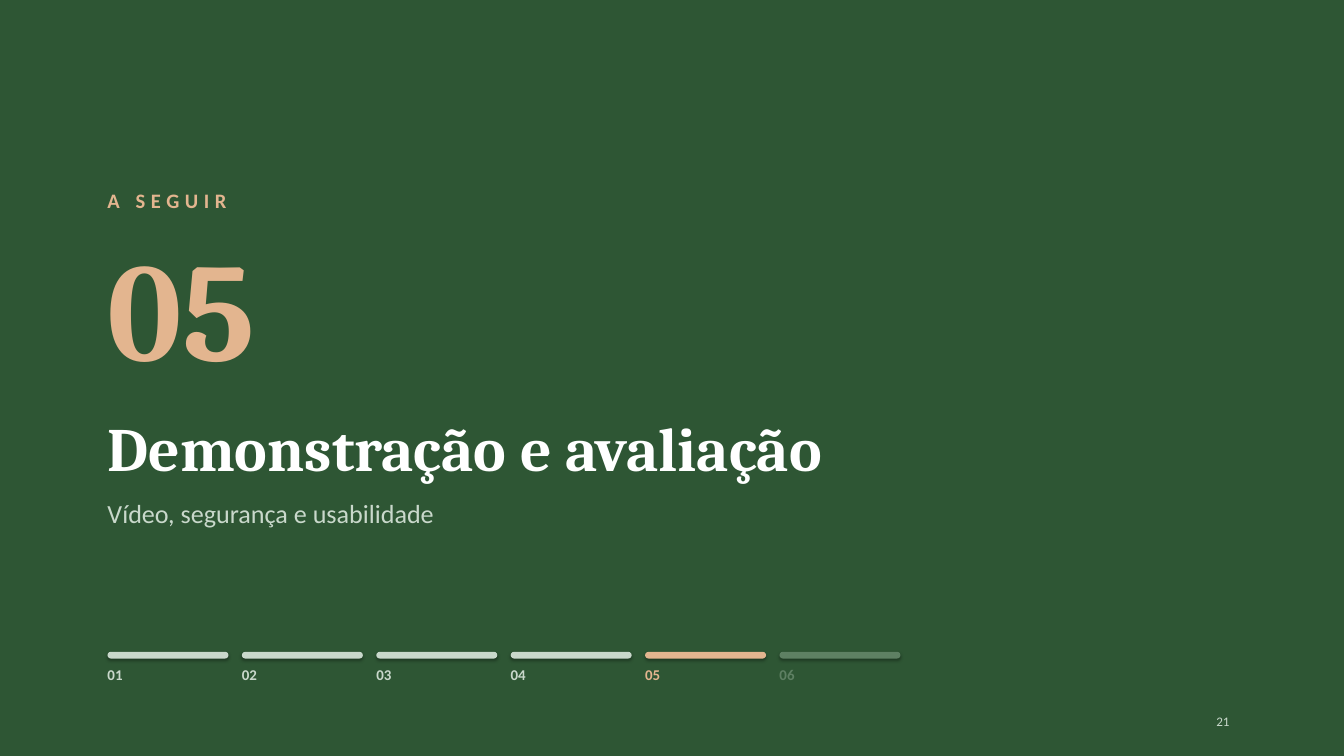
from pptx import Presentation
from pptx.dml.color import RGBColor
from pptx.enum.shapes import MSO_SHAPE
from pptx.enum.text import MSO_ANCHOR, MSO_AUTO_SIZE, PP_ALIGN
from pptx.util import Inches, Pt

ROUNDED = MSO_SHAPE.ROUNDED_RECTANGLE
TOP = MSO_ANCHOR.TOP
GROW = MSO_AUTO_SIZE.SHAPE_TO_FIT_TEXT
LEFT = PP_ALIGN.LEFT

# Content
KICKER = "A SEGUIR"
TITLE = "Demonstração e avaliação"
SUBTITLE = "Vídeo, segurança e usabilidade"
SECTION, SECTION_COUNT = 5, 6
PAGE = "21"

THEME = {
    "background": "2E5634",
    "accent": "E3B58F",
    "title": "FFFFFF",
    "soft": "C9D8CB",
    "dim": "5E8063",
    "heading_font": "Cambria",
    "body_font": "Calibri",
    "sizes": {"kicker": 22, "number": 150, "title": 66,
              "subtitle": 28, "step": 16, "page": 14},
}

# Layout, in inches
MARGIN = 1.6
STEP_WIDTH, STEP_PITCH = 1.8, 2.0
BAR_TOP, BAR_HEIGHT, LABEL_TOP = 9.7, 0.1, 9.9


def color(name):
    return RGBColor.from_string(THEME[name])


def write(sp, text, size, fill, font="body_font", bold=False):
    tf = sp.text_frame
    tf.margin_left = tf.margin_right = tf.margin_top = tf.margin_bottom = 0
    tf.word_wrap = True
    tf.auto_size = GROW
    tf.vertical_anchor = TOP
    p = tf.paragraphs[0]
    p.text = text
    p.alignment = LEFT
    p.font.name = THEME[font]
    p.font.size = Pt(THEME["sizes"][size])
    p.font.bold = bold
    p.font.color.rgb = color(fill)
    return p


def add_text(s, box, *args, **kwargs):
    return write(s.shapes.add_textbox(*map(Inches, box)), *args, **kwargs)


def add_step(s, number):
    x = MARGIN + (number - 1) * STEP_PITCH
    if number == SECTION:
        fill = "accent"
    else:
        fill = "soft" if number < SECTION else "dim"
    # The bar keeps the soft shadow of the document theme
    bar = s.shapes.add_shape(ROUNDED, Inches(x), Inches(BAR_TOP),
                             Inches(STEP_WIDTH), Inches(BAR_HEIGHT))
    bar.adjustments[0] = 0.5
    bar.fill.solid()
    bar.fill.fore_color.rgb = color(fill)
    bar.line.fill.background()
    add_text(s, (x, LABEL_TOP, STEP_WIDTH, 0.44), f"{number:02d}",
             "step", fill, bold=True)


def main():
    prs = Presentation()
    prs.slide_width, prs.slide_height = Inches(20), Inches(11.25)
    s = prs.slides.add_slide(prs.slide_layouts[5])
    s.background.fill.solid()
    s.background.fill.fore_color.rgb = color("background")

    # Section heading
    kicker = add_text(s, (MARGIN, 2.8, 10, 0.55), KICKER,
                      "kicker", "accent", bold=True)
    kicker.runs[0]._r.get_or_add_rPr().set("spc", "600")
    add_text(s, (MARGIN, 3.3, 7, 2.62), f"{SECTION:02d}",
             "number", "accent", "heading_font", True)
    title = s.shapes.title
    title.left, title.top, title.width, title.height = map(
        Inches, (MARGIN, 6.1, 17, 1.2))
    write(title, TITLE, "title", "title", "heading_font", True)
    add_text(s, (MARGIN, 7.4, 17, 0.66), SUBTITLE, "subtitle", "soft")

    # Progress bar
    for number in range(1, SECTION_COUNT + 1):
        add_step(s, number)

    # Page number
    add_text(s, (18.1, 10.61, 0.8, 0.38), PAGE, "page", "soft")

    prs.save("out.pptx")


if __name__ == "__main__":
    main()
